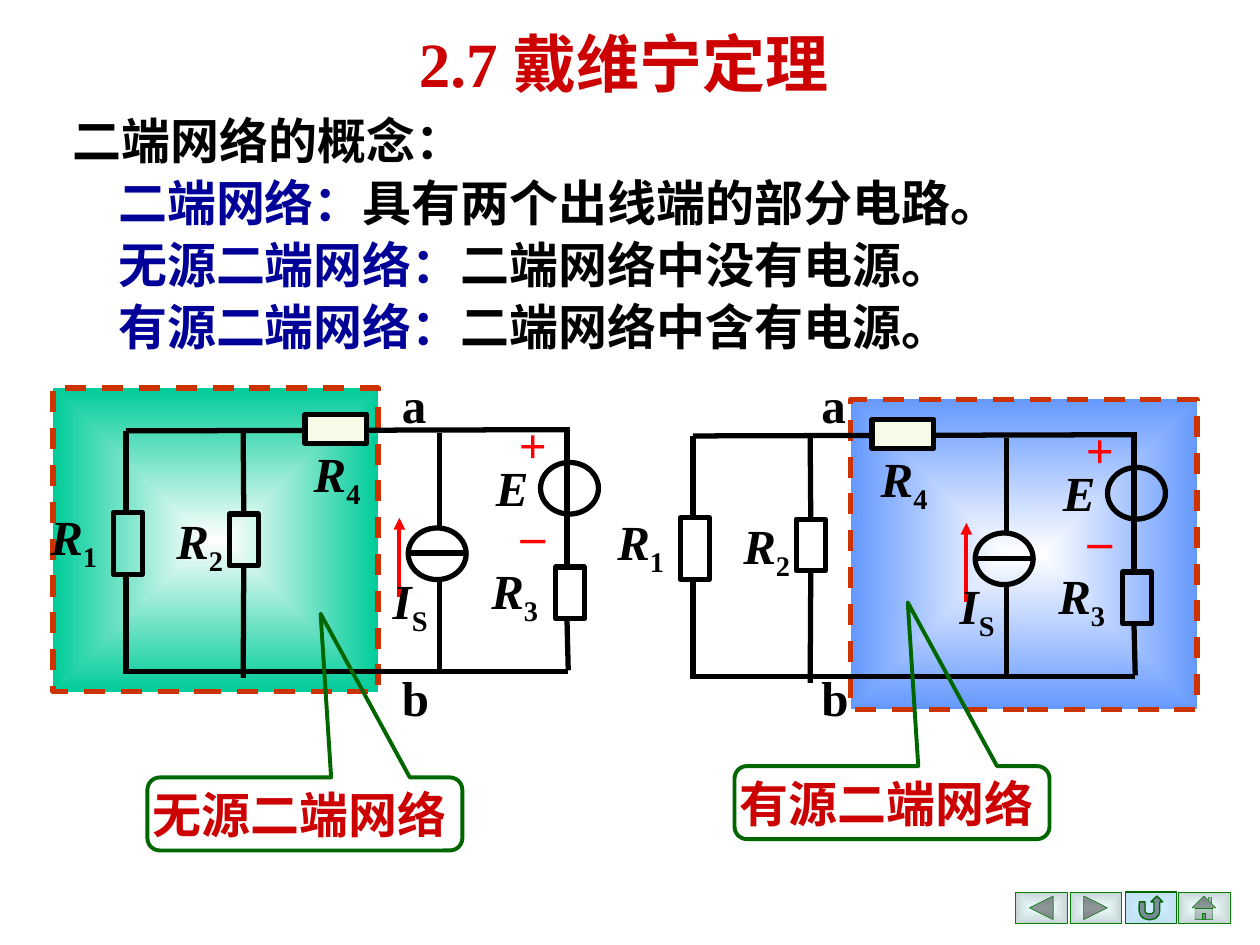
from lxml.etree import SubElement
from pptx import Presentation
from pptx.dml.color import RGBColor
from pptx.enum.dml import MSO_LINE
from pptx.enum.shapes import MSO_CONNECTOR, MSO_SHAPE
from pptx.enum.text import MSO_ANCHOR, PP_ALIGN
from pptx.oxml.ns import qn
from pptx.util import Inches, Pt

RECT, OVAL = MSO_SHAPE.RECTANGLE, MSO_SHAPE.OVAL
CALLOUT = MSO_SHAPE.ROUNDED_RECTANGULAR_CALLOUT
BACK = MSO_SHAPE.ACTION_BUTTON_BACK_OR_PREVIOUS
NEXT = MSO_SHAPE.ACTION_BUTTON_FORWARD_OR_NEXT
RETURN = MSO_SHAPE.ACTION_BUTTON_RETURN
HOME = MSO_SHAPE.ACTION_BUTTON_HOME
STRAIGHT, DASH = MSO_CONNECTOR.STRAIGHT, MSO_LINE.DASH
MIDDLE, CENTER = MSO_ANCHOR.MIDDLE, PP_ALIGN.CENTER

BLACK = RGBColor(0x00, 0x00, 0x00)
WHITE = RGBColor(0xFF, 0xFF, 0xFF)
CRIMSON = RGBColor(0xCC, 0x00, 0x00)
RED = RGBColor(0xFF, 0x00, 0x00)
NAVY = RGBColor(0x00, 0x00, 0x99)
RUST = RGBColor(0xCC, 0x33, 0x00)
TEAL = RGBColor(0x00, 0xCC, 0x99)
BLUE = RGBColor(0x66, 0x99, 0xFF)
CREAM = RGBColor(0xF6, 0xFA, 0xE6)
FOREST = RGBColor(0x00, 0x66, 0x00)
GREEN = RGBColor(0x00, 0x80, 0x00)
ICE = RGBColor(0xEC, 0xFD, 0xFE)
STEEL = RGBColor(0xC7, 0xD5, 0xD6)
SKY = RGBColor(0xCC, 0xEC, 0xFF)
MIST = RGBColor(0xC1, 0xE0, 0xF2)

LATIN, HAN = "Times New Roman", "Noto Sans CJK JP"


def style(font, size, color, name=LATIN):
    """Set a bold font with its East Asian face."""
    font.size, font.bold, font.name = Pt(size), True, name
    SubElement(font._element, qn("a:ea"), typeface=HAN)
    font.color.rgb = color


def glow(shape, inner, outer):
    """Fill a shape with a gradient that spreads from its centre."""
    shape.fill.gradient()
    for stop, color in zip(shape.fill.gradient_stops, (inner, outer)):
        stop.color.rgb = color
    grad = shape._element.spPr.find(qn("a:gradFill"))
    grad.remove(grad.find(qn("a:lin")))
    route = SubElement(grad, qn("a:path"), path="rect")
    SubElement(route, qn("a:fillToRect"), l="50000", t="50000", r="50000", b="50000")


def draw(slide, kind, box, color=BLACK, width=3.0):
    """Add an outlined shape without fill."""
    shape = slide.shapes.add_shape(kind, *map(Inches, box))
    shape.shadow.inherit = False
    shape.fill.background()
    shape.line.color.rgb = color
    shape.line.width = Pt(width)
    return shape


def wire(slide, x1, y1, x2, y2, color=BLACK, width=3.0):
    """Add a straight wire."""
    line = slide.shapes.add_connector(STRAIGHT, *map(Inches, (x1, y1, x2, y2)))
    line.line.color.rgb = color
    line.line.width = Pt(width)
    SubElement(line._element.spPr, qn("a:effectLst"))
    return line


def label(slide, box, lines, color=BLACK, italic=False, sub="", wrap=True):
    """Add a centred label with an optional subscript."""
    frame = slide.shapes.add_textbox(*map(Inches, box)).text_frame
    frame.word_wrap, frame.vertical_anchor = wrap, MIDDLE
    for i, words in enumerate(lines):
        para = frame.add_paragraph() if i else frame.paragraphs[0]
        para.alignment, para.space_before = CENTER, Pt(17.5)
        style(para.font, 28, color)
        para.font.italic = italic
        para.add_run().text = words
    if sub:
        run = para.add_run()
        run.text, run.font.italic = sub, False
        run.font._element.set("baseline", "-25000")


def title(slide):
    """Write the slide title."""
    head = slide.shapes.title
    head.left, head.top, head.width, head.height = map(Inches, (0.73, 0.08, 8.44, 0.83))
    head.text_frame.vertical_anchor = MIDDLE
    para = head.text_frame.paragraphs[0]
    para.alignment = CENTER
    for words, face in (("2.7 ", LATIN), ("戴维宁定理", HAN)):
        run = para.add_run()
        run.text = words
        style(run.font, 36, CRIMSON, face)


def notion(slide):
    """Write the heading and the indented definitions."""
    box = slide.shapes.add_textbox(*map(Inches, (0.48, 0.83, 8.52, 2.04)))
    frame = box.text_frame
    frame.word_wrap = True
    rows = [
        ("", "二端网络的概念："),
        ("二端网络：", "具有两个出线端的部分电路。"),
        ("无源二端网络：", "二端网络中没有电源。"),
        ("有源二端网络：", "二端网络中含有电源。"),
    ]
    for i, (term, words) in enumerate(rows):
        para = frame.add_paragraph() if i else frame.paragraphs[0]
        para.space_before, para.line_spacing = Pt(1.8), Pt(33.6)
        style(para.font, 28, BLACK)
        if term:
            para._p.get_or_add_pPr().set("marL", str(Inches(0.36)))
            run = para.add_run()
            run.text, run.font.color.rgb = term, NAVY
        para.add_run().text = words


def panel(slide, box, color):
    """Add a dashed panel behind one part of a circuit."""
    shape = draw(slide, RECT, box, RUST)
    shape.line.dash_style = DASH
    glow(shape, WHITE, color)


def circuit(slide, dx, dy):
    """Draw the circuit, shifted by dx and dy."""
    def part(kind, x, y, w, h):
        return draw(slide, kind, (x + dx, y + dy, w, h))

    def lead(x1, y1, x2, y2, *look):
        return wire(slide, x1 + dx, y1 + dy, x2 + dx, y2 + dy, *look)

    part(OVAL, 3.24, 4.19, 0.46, 0.41)
    part(OVAL, 4.29, 3.67, 0.46, 0.41)
    part(RECT, 4.41, 4.5, 0.23, 0.41)
    part(RECT, 0.9, 4.07, 0.23, 0.49)
    second = part(RECT, 1.82, 4.08, 0.23, 0.41)
    for ends in (
        (3.24, 4.39, 3.7, 4.39), (4.5, 4.92, 4.51, 5.32), (4.5, 4.5, 4.5, 3.39),
        (3.49, 4.6, 3.49, 5.34), (3.49, 4.19, 3.49, 3.44), (1, 4.58, 1, 5.32),
        (1, 4.08, 1, 3.42), (0.98, 5.33, 4.51, 5.33), (1, 3.42, 4.51, 3.41),
    ):
        lead(*ends)
    lead(1.93, 4.49, 1.93, 5.38).begin_connect(second, 2)
    lead(1.93, 4.08, 1.93, 3.43).begin_connect(second, 0)
    arrow = lead(3.17, 4.74, 3.17, 4.11, RED, 2.25)
    SubElement(arrow.line._get_or_add_ln(), qn("a:tailEnd"), type="triangle")
    fourth = part(RECT, 2.42, 3.29, 0.49, 0.23)
    fourth.fill.solid()
    fourth.fill.fore_color.rgb = CREAM

    label(slide, (3.75 + dx, 3.58 + dy, 0.63, 0.57), ["E"], italic=True)
    label(slide, (4 + dx, 3.24 + dy, 0.46, 1.28), ["+", "–"], RED)
    for name, sub, x, y in (
        ("R", "1", 0.08, 3.97), ("R", "2", 1.08, 4), ("I", "S", 2.75, 4.48),
        ("R", "3", 3.58, 4.4), ("R", "4", 2.17, 3.47),
    ):
        label(slide, (x + dx, y + dy, 1.01, 0.63), [name], italic=True, sub=sub)


def callout(slide, x, y, words):
    """Add a callout that names a panel."""
    shape = draw(slide, CALLOUT, (x, y, 2.5, 0.58), FOREST, 2.25)
    for i, value in enumerate((0.05, -2.74, 0.17)):
        shape.adjustments[i] = value
    frame = shape.text_frame
    frame.word_wrap, frame.vertical_anchor = False, MIDDLE
    para = frame.paragraphs[0]
    para.alignment = CENTER
    style(para.font, 28, CRIMSON)
    para.add_run().text = words


def button(slide, kind, x, inner=ICE, outer=STEEL, edge=GREEN, width=0.25):
    """Add a navigation button."""
    glow(draw(slide, kind, (x, 7.08, 0.41, 0.25), edge, width), inner, outer)


def main():
    """Build the slide."""
    deck = Presentation()
    deck.slide_width, deck.slide_height = Inches(10), Inches(7.5)
    slide = deck.slides.add_slide(deck.slide_layouts[5])
    button(slide, BACK, 8.06)
    button(slide, NEXT, 8.49)
    button(slide, HOME, 9.35)
    button(slide, RETURN, 8.93, SKY, MIST, FOREST, 0.75)
    title(slide)
    panel(slide, (0.42, 3.08, 2.58, 2.41), TEAL)
    panel(slide, (6.75, 3.17, 2.75, 2.46), BLUE)
    notion(slide)
    circuit(slide, 0, 0)
    circuit(slide, 4.5, 0.04)
    callout(slide, 1.17, 6.17, "无源二端网络 ")
    callout(slide, 5.83, 6.08, "有源二端网络 ")
    for x in (3.09, 6.42):
        label(slide, (x, 2.92, 0.39, 0.57), ["a"], wrap=False)
        label(slide, (x, 5.25, 0.41, 0.57), ["b"], wrap=False)
    deck.save("out.pptx")


if __name__ == "__main__":
    main()
